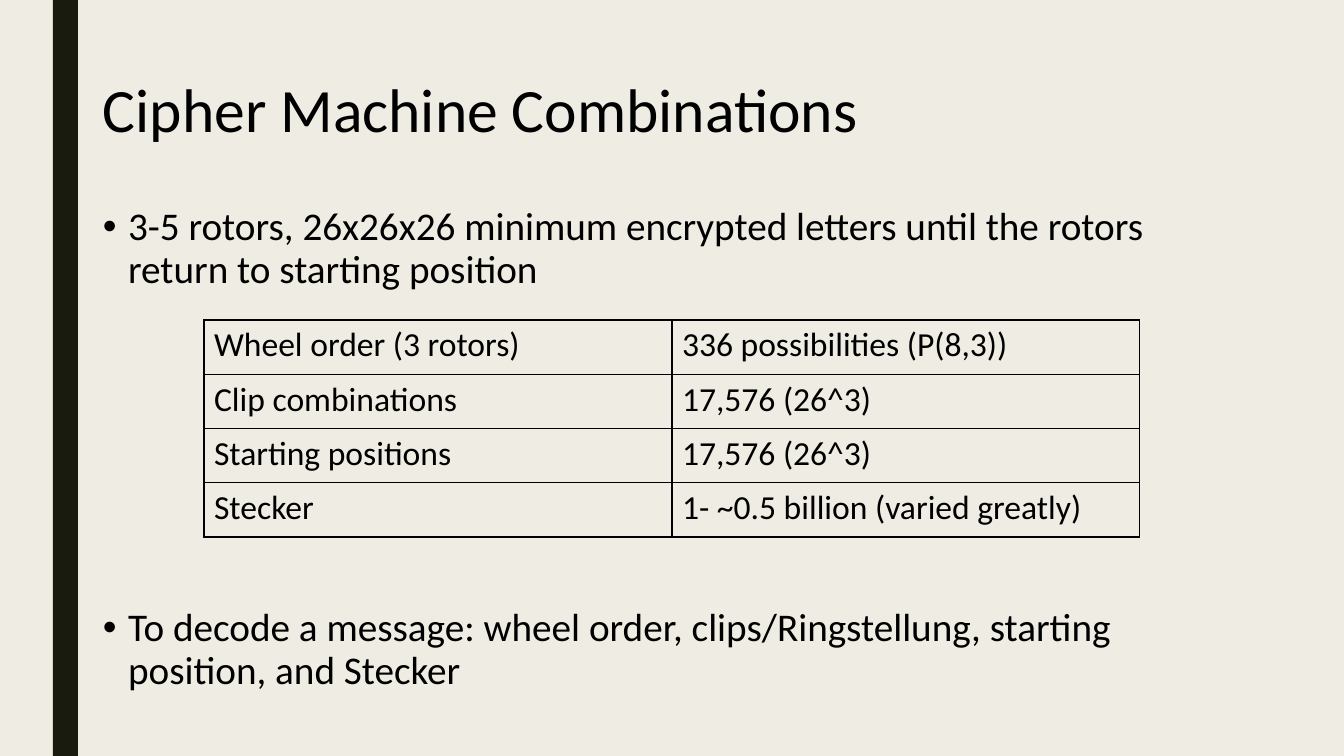
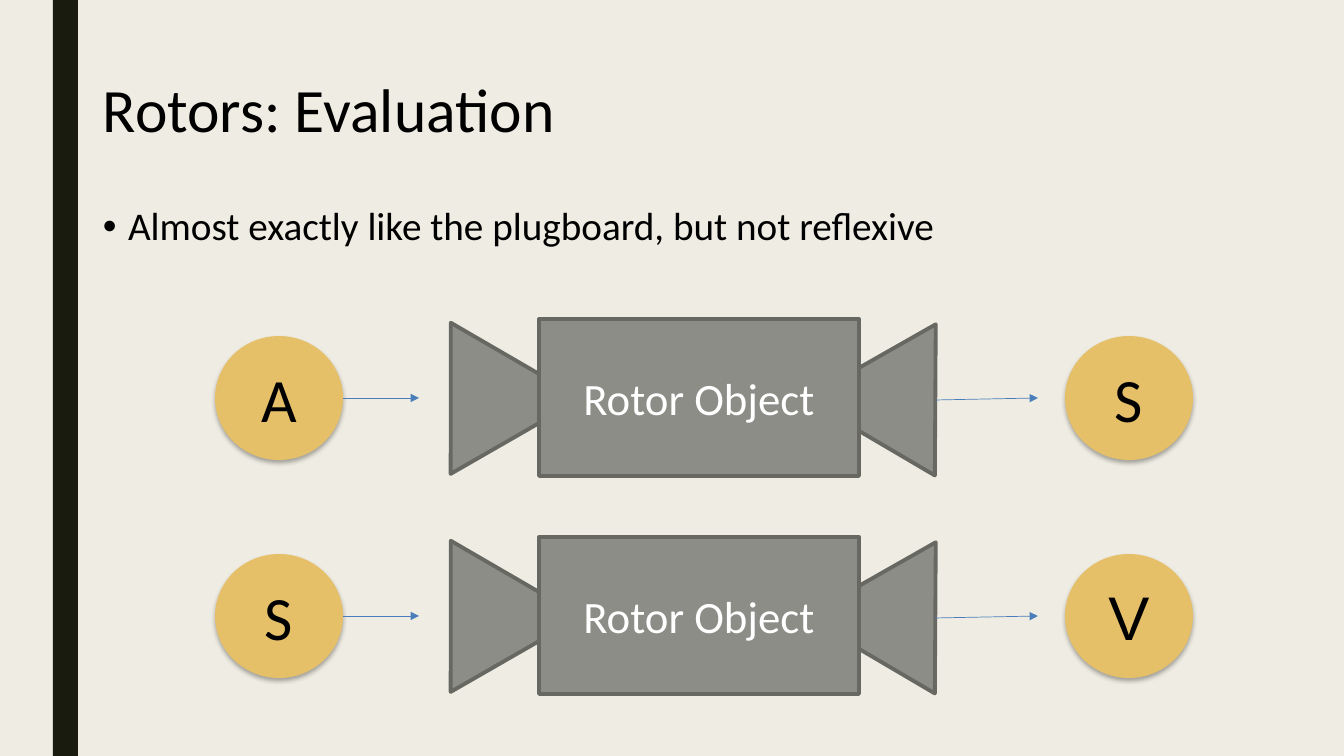
import pptx
import pptx.util
import pptx.dml.color
import pptx.enum.shapes
import pptx.enum.text
import pptx.oxml
import pptx.oxml.ns

Pt = pptx.util.Pt
RGB = pptx.dml.color.RGBColor
SHAPE = pptx.enum.shapes.MSO_SHAPE
ALIGN = pptx.enum.text.PP_ALIGN
ANCHOR = pptx.enum.text.MSO_ANCHOR
NS = pptx.oxml.ns.nsdecls("a")

CREAM = RGB(0xEF, 0xED, 0xE3)
BAND = RGB(0x19, 0x1B, 0x0E)
BLACK = RGB(0, 0, 0)
WHITE = RGB(0xFF, 0xFF, 0xFF)
GRAY = RGB(0x8C, 0x8D, 0x86)
DARK_GRAY = RGB(0x68, 0x68, 0x63)
GOLD = RGB(0xE6, 0xC0, 0x69)
BLUE = RGB(0x4A, 0x7E, 0xBB)

EMU_PER_PX = 914400 / 100.8


def px(*lengths):
    """Turn pixel lengths into EMU."""
    return [round(n * EMU_PER_PX) for n in lengths]


def write(p, text, size, color=BLACK, font="Calibri", **formats):
    """Put one formatted run in p; formats are paragraph attributes."""
    r = p.add_run()
    r.text = text
    for name, value in {"name": font, "size": Pt(size)}.items():
        setattr(r.font, name, value)
    r.font.color.rgb = color
    for name, value in formats.items():
        setattr(p, name, value)


prs = pptx.Presentation()
prs.slide_width, prs.slide_height = px(1344, 756)
fill = prs.slide_master.background.fill
fill.solid()
fill.fore_color.rgb = CREAM

# Title, body height, and bullets as (space before in points, text)
pages = [
    ("Cipher Machine Combinations", 480, [
        (10, "3-5 rotors, 26x26x26 minimum encrypted letters until the rotors "
             "return to starting position"),
        (226, "To decode a message: wheel order, clips/Ringstellung, starting "
              "position, and Stecker"),
    ]),
    ("Rotors: Evaluation", 72, [
        (10, "Almost exactly like the plugboard, but not reflexive"),
    ]),
]
slides = []
for title, body_height, bullets in pages:
    s = prs.slides.add_slide(prs.slide_layouts[6])
    slides.append(s)
    band = s.shapes.add_shape(SHAPE.RECTANGLE, *px(53, 0, 25, 756))
    band.shadow.inherit = False
    band.fill.solid()
    band.fill.fore_color.rgb = BAND
    band.line.fill.background()

    tf = s.shapes.add_textbox(*px(93, 40, 1159, 146)).text_frame
    tf.word_wrap = True
    tf.vertical_anchor = ANCHOR.MIDDLE
    write(tf.paragraphs[0], title, 44, line_spacing=0.9)

    tf = s.shapes.add_textbox(*px(93, 202, 1159, body_height)).text_frame
    tf.word_wrap = True
    for i, (space, text) in enumerate(bullets):
        p = tf.add_paragraph() if i else tf.paragraphs[0]
        write(p, text, 28, line_spacing=0.9, space_before=Pt(space))
        pPr = p._p.get_or_add_pPr()
        pPr.set("marL", "228600")
        pPr.set("indent", "-228600")
        for xml in (f'<a:buFont {NS} typeface="Arial"/>', f'<a:buChar {NS} char="•"/>'):
            pPr.append(pptx.oxml.parse_xml(xml))

combinations, evaluation = slides

# Table of key settings
rows = [
    ("Wheel order (3 rotors)", "336 possibilities (P(8,3))"),
    ("Clip combinations", "17,576 (26^3)"),
    ("Starting positions", "17,576 (26^3)"),
    ("Stecker", "1- ~0.5 billion (varied greatly)"),
]
table = combinations.shapes.add_table(len(rows), 2, *px(204, 320, 936, 217)).table
table.first_row = table.horz_banding = False
for i, row in enumerate(rows):
    for j, text in enumerate(row):
        cell = table.cell(i, j)
        write(cell.text_frame.paragraphs[0], text, 24)
        tcPr = cell._tc.get_or_add_tcPr()
        for side in ("lnL", "lnR", "lnT", "lnB"):
            tcPr.append(pptx.oxml.parse_xml(
                f'<a:{side} {NS} w="12700"><a:solidFill><a:srgbClr val="{BLACK}"/>'
                f'</a:solidFill></a:{side}>'))
        cell.fill.background()

# Two rotor diagrams: letter in, rotor, letter out
ROW_PITCH = 218
rotor_rows = [
    [("A", "Calibri"), ("S", "Calibri")],
    [("S", "Calibri"), ("V", "Arial")],
]
for i, letters in enumerate(rotor_rows):
    dy = i * ROW_PITCH
    rotor_parts = [
        (SHAPE.FLOWCHART_EXTRACT, (827, 353, 151, 131), 150.4, ""),
        (SHAPE.FLOWCHART_EXTRACT, (408, 314, 151, 131), 330.1, ""),
        (SHAPE.RECTANGLE, (539, 319, 320, 157), 0, "Rotor Object"),
    ]
    for kind, (x, y, w, h), angle, text in rotor_parts:
        sp = evaluation.shapes.add_shape(kind, *px(x, y + dy, w, h))
        sp.shadow.inherit = False
        sp.rotation = angle
        sp.fill.solid()
        sp.fill.fore_color.rgb = GRAY
        sp.line.color.rgb = DARK_GRAY
        sp.line.width = Pt(2.75)
        if text:
            write(sp.text_frame.paragraphs[0], text, 32, WHITE, alignment=ALIGN.CENTER)

    for x, (letter, font) in zip((215, 1065), letters):
        sp = evaluation.shapes.add_shape(SHAPE.OVAL, *px(x, 336 + dy, 128, 124))
        sp.shadow.inherit = False
        sp.fill.solid()
        sp.fill.fore_color.rgb = GOLD
        sp.line.fill.background()
        sp._element.spPr.find(pptx.oxml.ns.qn("a:effectLst")).append(pptx.oxml.parse_xml(
            f'<a:outerShdw {NS} blurRad="44450" dist="27940" dir="5400000">'
            f'<a:srgbClr val="{BLACK}"><a:alpha val="32000"/></a:srgbClr></a:outerShdw>'))
        write(sp.text_frame.paragraphs[0], letter, 44, font=font, alignment=ALIGN.CENTER)

    for x1, y1, x2, y2 in ((343, 398, 419, 398), (935, 400, 1038, 398)):
        arrow = evaluation.shapes.add_connector(
            pptx.enum.shapes.MSO_CONNECTOR.STRAIGHT, *px(x1, y1 + dy, x2, y2 + dy))
        arrow.line.color.rgb = BLUE
        arrow.line.width = Pt(0.5)
        arrow.line._get_or_add_ln().append(
            pptx.oxml.parse_xml(f'<a:tailEnd {NS} type="triangle"/>'))
        arrow._element.spPr.append(pptx.oxml.parse_xml(f'<a:effectLst {NS}/>'))

prs.save("out.pptx")
